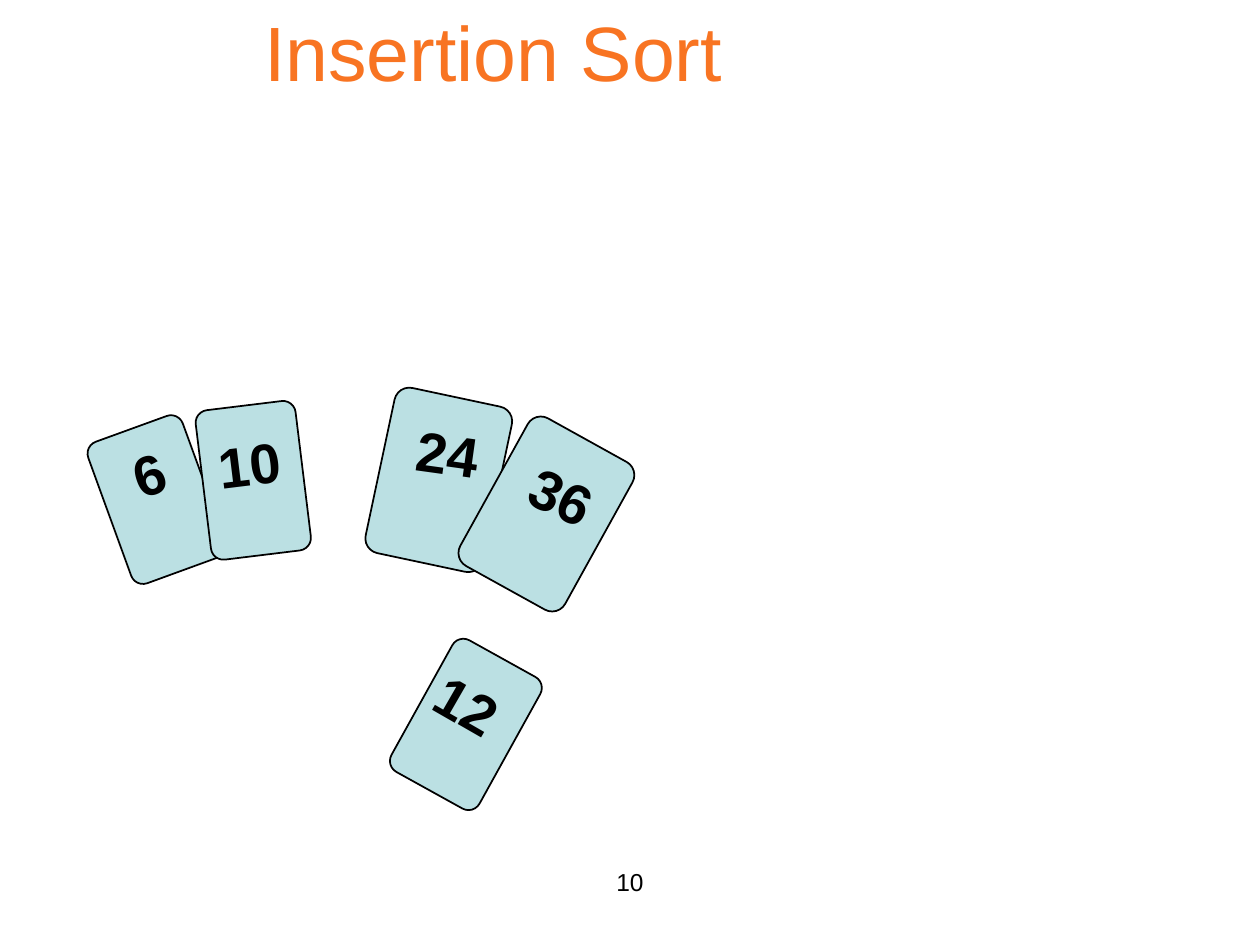
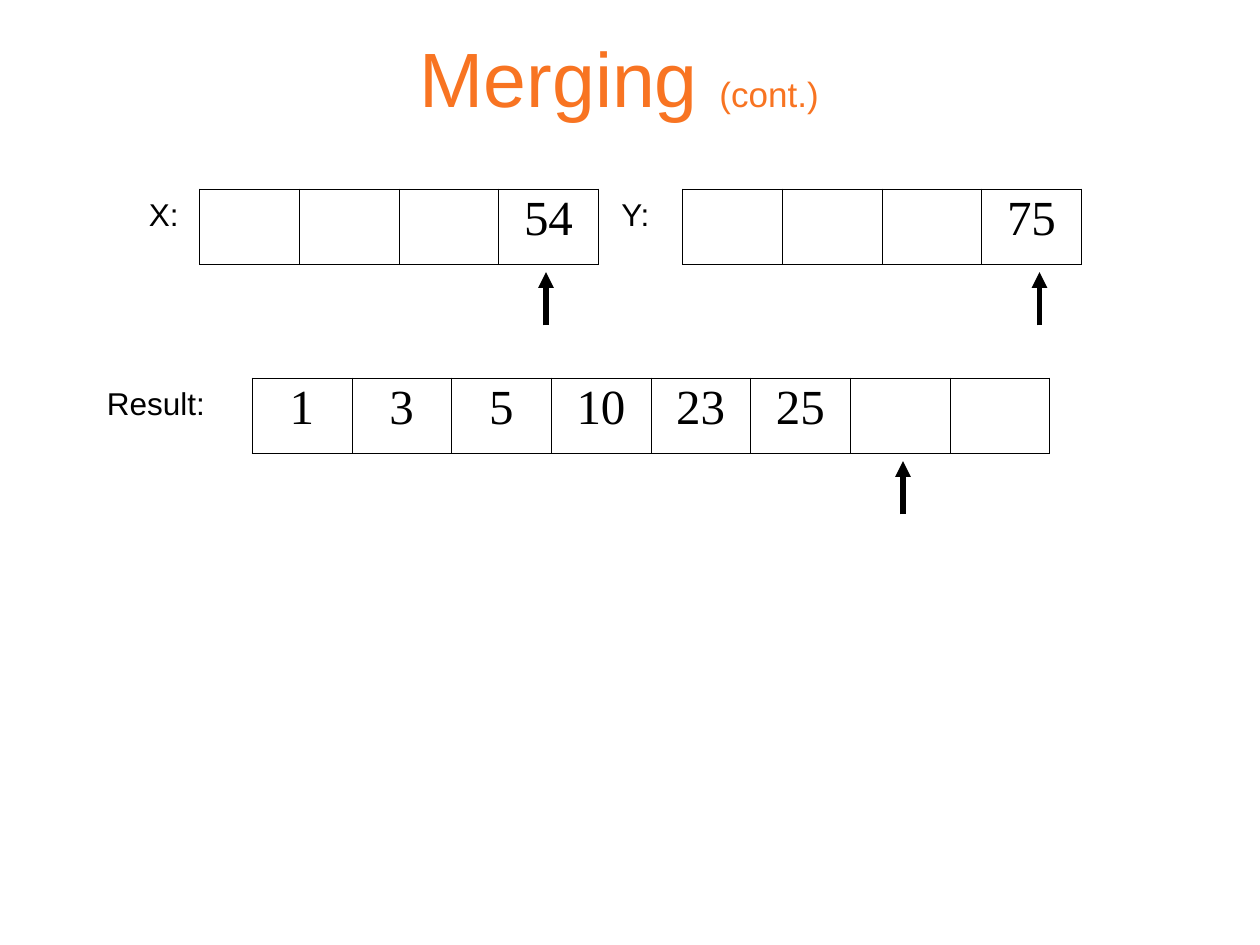
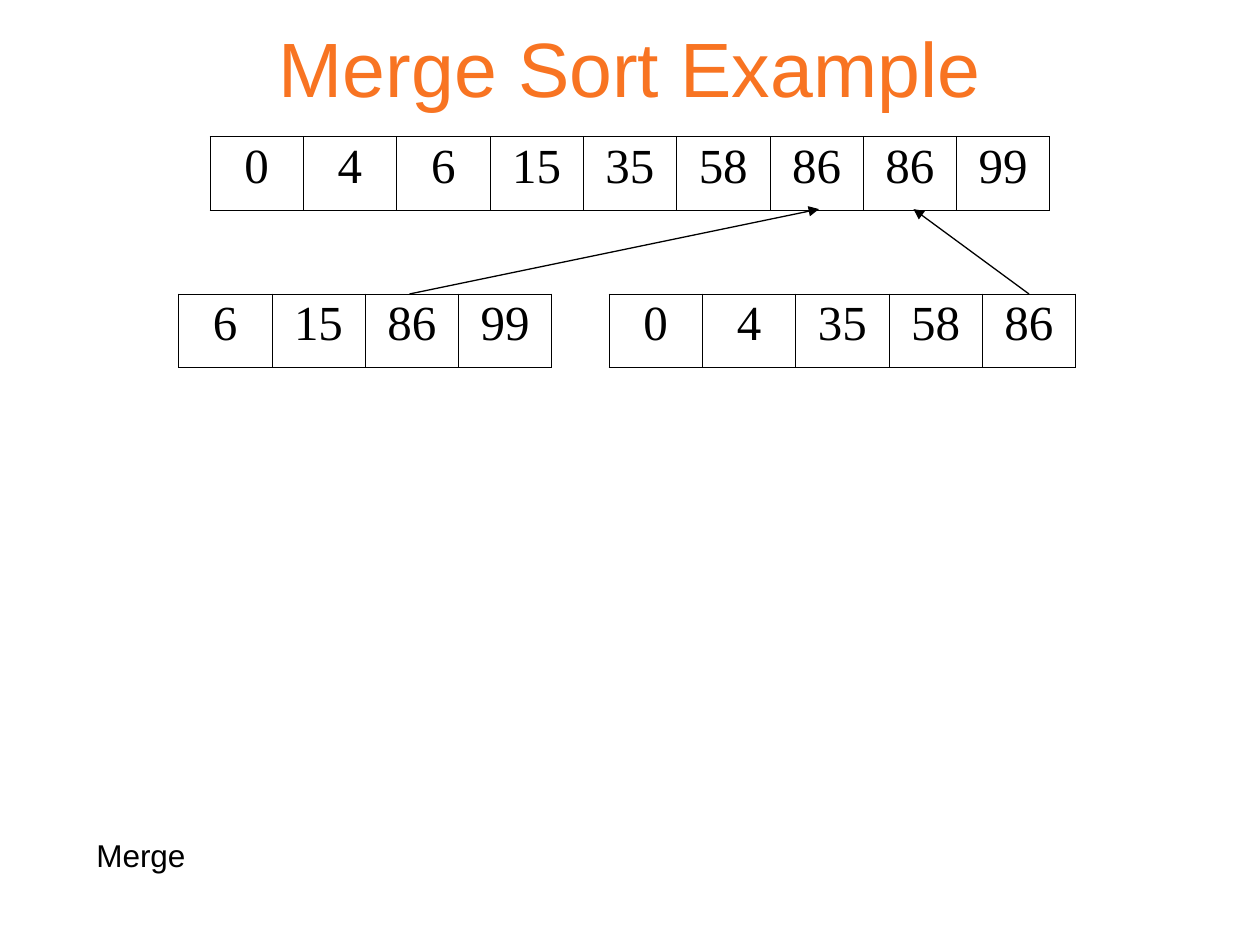
from lxml.etree import SubElement
from pptx import Presentation
from pptx.dml.color import RGBColor
from pptx.enum.shapes import MSO_CONNECTOR, MSO_SHAPE
from pptx.enum.text import MSO_ANCHOR, MSO_AUTO_SIZE, PP_ALIGN
from pptx.oxml.ns import qn
from pptx.util import Pt

BLACK = "000000"
ORANGE = "F87422"
AQUA = "BBE0E3"
SANS = "Arial"
SERIF = "Times New Roman"


def tint(target, color):
    target.rgb = RGBColor.from_string(color)


def style(para, size, face=SANS, color=BLACK, bold=False):
    font = para.font
    font.name = face
    font.size = Pt(size)
    font.bold = bold
    tint(font.color, color)


def place(shape, left, top, width, height):
    shape.left, shape.top = Pt(left), Pt(top)
    shape.width, shape.height = Pt(width), Pt(height)


def title(slide, text, box, anchor=MSO_ANCHOR.MIDDLE, base=0):
    shape = slide.shapes.title
    place(shape, *box)
    frame = shape.text_frame
    frame.auto_size = MSO_AUTO_SIZE.NONE
    frame.vertical_anchor = anchor
    frame.margin_top, frame.margin_bottom = Pt(4), Pt(base)
    para = frame.paragraphs[0]
    para.alignment = PP_ALIGN.CENTER
    para.add_run().text = text
    style(para, 44, color=ORANGE)
    return para


def label(slide, text, box, size=18, bold=False, wrap=True, turn=0):
    shape = slide.shapes.add_textbox(*map(Pt, box))
    shape.rotation = turn
    frame = shape.text_frame
    frame.word_wrap = wrap
    frame.auto_size = MSO_AUTO_SIZE.SHAPE_TO_FIT_TEXT
    para = frame.paragraphs[0]
    para.text = text
    style(para, size, bold=bold)
    return para


def card(slide, box, turn):
    shape = slide.shapes.add_shape(MSO_SHAPE.ROUNDED_RECTANGLE, *map(Pt, box))
    shape.adjustments[0] = 0.125
    shape.rotation = turn
    shape.shadow.inherit = False
    shape.fill.solid()
    tint(shape.fill.fore_color, AQUA)
    tint(shape.line.color, BLACK)
    shape.line.width = Pt(1)


def edge(cell, side, width):
    line = SubElement(cell._tc.get_or_add_tcPr(), qn(f"a:ln{side}"), w=str(Pt(width)))
    fill = SubElement(line, qn("a:solidFill"))
    SubElement(fill, qn("a:srgbClr"), val=BLACK)


def grid(slide, left, top, width, height, values):
    count = len(values)
    frame = slide.shapes.add_table(
        1, count, Pt(left), Pt(top), Pt(width * count), Pt(height))
    table = frame.table
    table.first_row = table.horz_banding = False
    for i, value in enumerate(values):
        table.columns[i].width = Pt(width)
        cell = table.cell(0, i)
        edge(cell, "L", 0.5 if i == 0 else 0.23)
        edge(cell, "R", 0.5 if i == count - 1 else 0.23)
        edge(cell, "T", 0.5)
        edge(cell, "B", 0.5)
        cell.fill.background()
        if value:
            para = cell.text_frame.paragraphs[0]
            para.text = value
            para.alignment = PP_ALIGN.CENTER
            para.line_spacing = 0.93
            style(para, 28, SERIF)


def arrow(slide, start, end, width):
    link = slide.shapes.add_connector(
        MSO_CONNECTOR.STRAIGHT, *map(Pt, start + end))
    tint(link.line.color, BLACK)
    link.line.width = Pt(width)
    SubElement(link.line._get_or_add_ln(), qn("a:tailEnd"), type="triangle")
    SubElement(link._element.spPr, qn("a:effectLst"))


def cards(slide):
    title(slide, "Insertion Sort", (26.5, 18, 511, 41), MSO_ANCHOR.BOTTOM, 3.6)
    small, large = (57.5, 86), (68.5, 96.5)
    for spot, size, turn in (
        ((61, 242.5), small, 340),
        ((116, 231.5), small, 353),
        ((216.5, 226), large, 12),
        ((278, 245.5), large, 29),
        ((237.5, 371), small, 29),
    ):
        card(slide, spot + size, turn)
    for text, left, top, width, turn in (
        ("6", 69, 247.5, 32.5, 341),
        ("10", 117.5, 242, 50.5, 353),
        ("24", 231, 236, 50.5, 8),
        ("36", 296.5, 260.5, 50.5, 25),
        ("12", 242.5, 380, 50.5, 30),
    ):
        label(slide, text, (left, top, width, 45.5), 32, True, False, turn)
    para = label(slide, "10", (246, 492, 228, 37.5), 14)
    para.alignment = PP_ALIGN.CENTER


def merging(slide):
    para = title(slide, "Merging ", (54, 12, 612, 60))
    for text, size in (("(cont.)", 20), (" ", 44)):
        run = para.add_run()
        run.text = text
        run.font.size = Pt(size)
    for left, top, values in (
        (114, 108, ["", "", "", "54"]),
        (390, 108, ["", "", "", "75"]),
        (144, 216, ["1", "3", "5", "10", "23", "25", "", ""]),
    ):
        grid(slide, left, top, 57, 43, values)
    for x, top in ((312, 108), (594, 108), (516, 216)):
        arrow(slide, (x, top + 78), (x, top + 47.5), 3)
    for text, left, top, width in (
        ("X:", 78, 108, 42), ("Y:", 348, 108, 42), ("Result:", 54, 216, 84),
    ):
        label(slide, text, (left, top, width, 29))


def sample(slide):
    title(slide, "Merge Sort Example", (54, 0, 612, 72))
    for left, top, values in (
        (120, 78, ["0", "4", "6", "15", "35", "58", "86", "86", "99"]),
        (102, 168, ["6", "15", "86", "99"]),
        (348, 168, ["0", "4", "35", "58", "86"]),
    ):
        grid(slide, left, top, 53.33, 42, values)
    label(slide, "Merge", (48, 474, 366, 29))
    for start, end in ((234, 468), (588, 522)):
        arrow(slide, (start, 168), (end, 119.5), 0.75)


def main():
    deck = Presentation()
    deck.slide_width, deck.slide_height = Pt(720), Pt(540)
    for build in (cards, merging, sample):
        build(deck.slides.add_slide(deck.slide_layouts[5]))
    deck.save("out.pptx")


if __name__ == "__main__":
    main()
